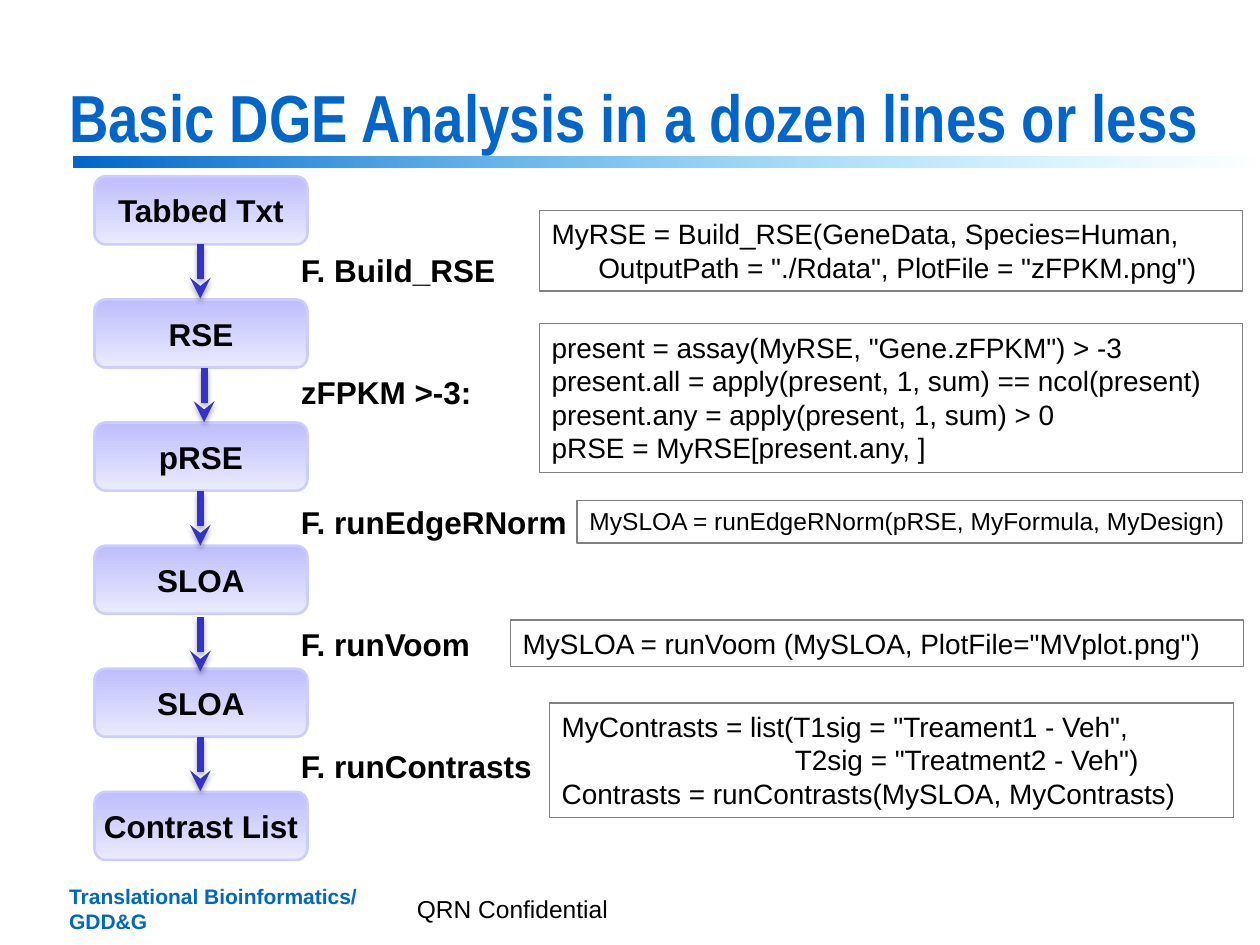
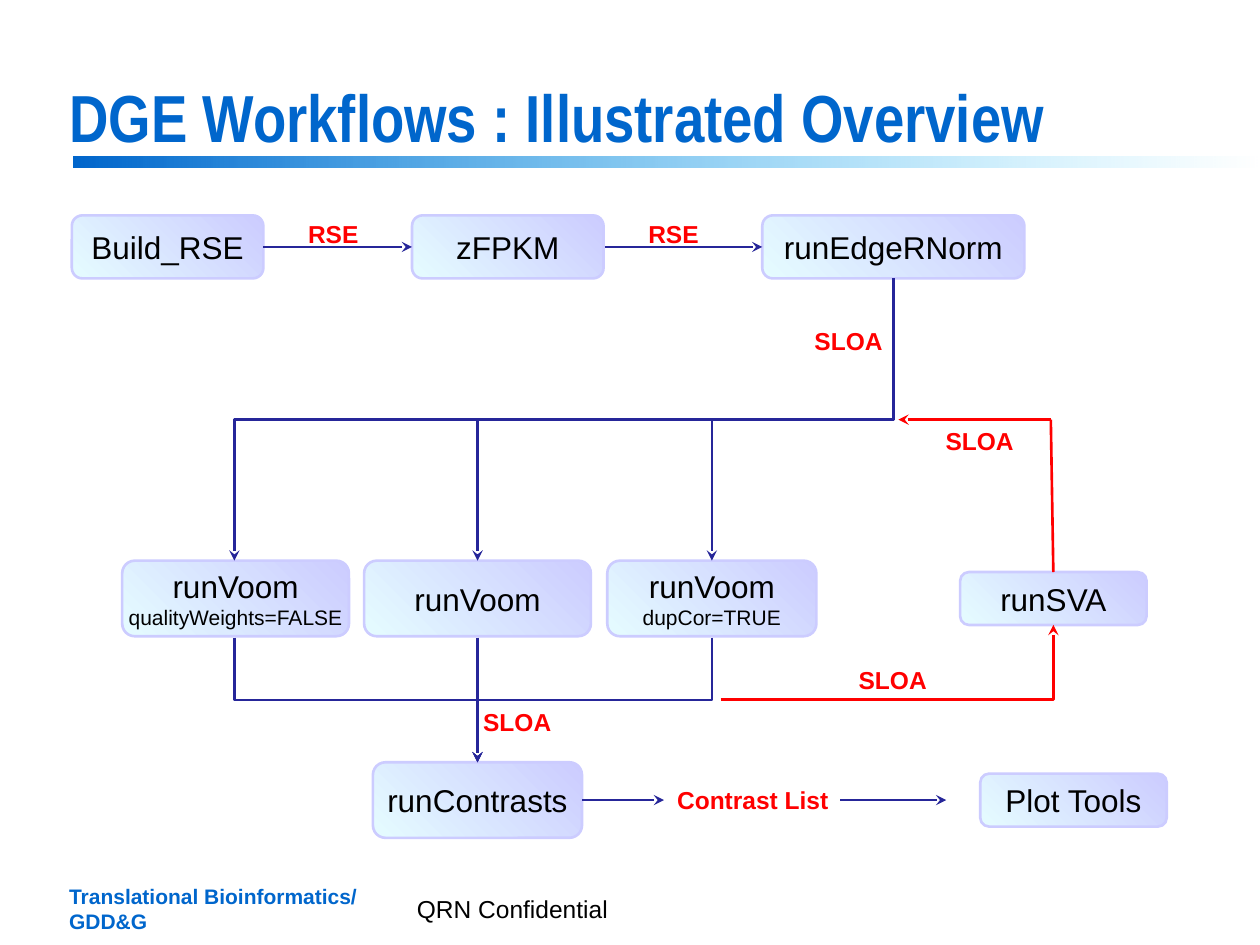
from dataclasses import dataclass

from lxml.etree import SubElement
from pptx import Presentation
from pptx.dml.color import RGBColor
from pptx.enum.shapes import MSO_CONNECTOR, MSO_SHAPE
from pptx.enum.text import MSO_ANCHOR, MSO_AUTO_SIZE, PP_ALIGN
from pptx.oxml.ns import qn
from pptx.util import Inches, Pt

COLUMNS, ROWS = 100, 75


@dataclass(frozen=True)
class TextStyle:
    """Font and alignment of one kind of text."""
    size: float
    color: str = "000000"
    bold: bool = False
    name: str = "Arial"
    align: PP_ALIGN = PP_ALIGN.LEFT
    anchor: MSO_ANCHOR = MSO_ANCHOR.TOP
    wrap: bool = True
    inset: bool = True
    spacing: float = 1.0


@dataclass(frozen=True)
class Theme:
    """Colours and type sizes of the deck."""
    accent: str = "0066CC"
    band: tuple = ("0066CC", "33CCFF")
    step: tuple = ("BEBEFD", "EAEAFE")
    node: tuple = ("E5FCFF", "CCCCFF")
    node_edge: str = "CCCCFF"
    code_edge: str = "808080"
    step_arrow: str = "3333CC"
    flow: str = "262699"
    feedback: str = "FF0000"
    title_text = TextStyle(38, accent, True, "Arial Narrow", anchor=MSO_ANCHOR.BOTTOM, spacing=0.85)
    team_text = TextStyle(12, accent, True, anchor=MSO_ANCHOR.MIDDLE, wrap=False)
    notice_text = TextStyle(14, anchor=MSO_ANCHOR.MIDDLE)
    step_text = TextStyle(18, bold=True, align=PP_ALIGN.CENTER, anchor=MSO_ANCHOR.MIDDLE,
                          wrap=False, inset=False)
    node_text = TextStyle(18, align=PP_ALIGN.CENTER, anchor=MSO_ANCHOR.MIDDLE,
                          wrap=False, inset=False)
    function_text = TextStyle(18, bold=True)
    data_text = TextStyle(14, feedback, True, align=PP_ALIGN.CENTER, wrap=False)
    argument_size: float = 12


class Deck:
    """Holds the theme and current slide and draws each kind of element on a grid."""

    def __init__(self, theme):
        """Start an empty presentation."""
        self.theme = theme
        self.presentation = Presentation()
        self.presentation.slide_width = Inches(10)
        self.presentation.slide_height = Inches(7.5)
        self.column = self.presentation.slide_width / COLUMNS
        self.row = self.presentation.slide_height / ROWS
        self.slide = None

    def place(self, *cells):
        """Turn alternating columns and rows into lengths."""
        return [round(cell * (self.row if i % 2 else self.column)) for i, cell in enumerate(cells)]

    def set_lines(self, shape, lines, style, sizes=(), indents=()):
        """Fill a shape with one paragraph per line."""
        frame = shape.text_frame
        frame.text = "\n".join(lines)
        sides, ends = (Inches(0.1), Inches(0.05)) if style.inset else (0, 0)
        layout = {"word_wrap": style.wrap, "vertical_anchor": style.anchor,
                  "auto_size": MSO_AUTO_SIZE.NONE,
                  "margin_left": sides, "margin_right": sides,
                  "margin_top": ends, "margin_bottom": ends}
        for attribute, value in layout.items():
            setattr(frame, attribute, value)
        for i, paragraph in enumerate(frame.paragraphs):
            paragraph.alignment = style.align
            paragraph.line_spacing = style.spacing
            size = sizes[i] if sizes else style.size
            for attribute, value in {"size": Pt(size), "bold": style.bold, "name": style.name}.items():
                setattr(paragraph.font, attribute, value)
            paragraph.font.color.rgb = RGBColor.from_string(style.color)
            if indents and indents[i]:
                properties = paragraph._p.get_or_add_pPr()
                properties.set("marL", str(Inches(indents[i])))
                properties.set("indent", "0")

    def new_slide(self, title):
        """Add a slide with its title, band and footers."""
        self.slide = self.presentation.slides.add_slide(self.presentation.slide_layouts[5])
        band = self.block(MSO_SHAPE.RECTANGLE, (5.8, 12.4, 94.2, 0.9), self.theme.band, 0)
        clear_end = band.element.spPr.findall(".//" + qn("a:srgbClr"))[-1]
        SubElement(clear_end, qn("a:alpha")).set("val", "0")
        heading = self.slide.shapes.title
        heading.left, heading.top, heading.width, heading.height = self.place(4.5, 6.5, 91.9, 6.4)
        self.set_lines(heading, [title], self.theme.title_text)
        self.text((4.5, 69.6, 25.1, 5), ["Translational Bioinformatics/", "GDD&G"], self.theme.team_text)
        self.text((32.1, 70.5, 35.8, 3.3), ["QRN Confidential"], self.theme.notice_text)

    def text(self, area, lines, style):
        """Add free text."""
        self.set_lines(self.slide.shapes.add_textbox(*self.place(*area)), lines, style)

    def block(self, preset, area, gradient, angle, edge=None):
        """Add a preset shape with a two-colour gradient and an optional edge."""
        shape = self.slide.shapes.add_shape(preset, *self.place(*area))
        shape.shadow.inherit = False
        shape.fill.gradient()
        shape.fill.gradient_angle = angle
        for stop, color in zip(shape.fill.gradient_stops, gradient):
            stop.color.rgb = RGBColor.from_string(color)
        if edge:
            shape.line.color.rgb = RGBColor.from_string(edge)
            shape.line.width = Pt(1.5)
        else:
            shape.line.fill.background()
        return shape

    def step(self, area, name):
        """Add a rounded box of the step column."""
        box = self.block(MSO_SHAPE.ROUNDED_RECTANGLE, area, self.theme.step, 270, self.theme.node_edge)
        self.set_lines(box, [name], self.theme.step_text)

    def node(self, area, name, argument=None):
        """Add a workflow box with an optional smaller argument line."""
        box = self.block(MSO_SHAPE.ROUNDED_RECTANGLE, area, self.theme.node, 45, self.theme.node_edge)
        lines = [name, argument] if argument else [name]
        self.set_lines(box, lines, self.theme.node_text,
                       (self.theme.node_text.size, self.theme.argument_size))

    def code(self, area, lines, size=16, indents=()):
        """Add an outlined box of code."""
        box = self.slide.shapes.add_shape(MSO_SHAPE.RECTANGLE, *self.place(*area))
        box.shadow.inherit = False
        box.fill.background()
        box.line.color.rgb = RGBColor.from_string(self.theme.code_edge)
        box.line.width = Pt(0.75)
        self.set_lines(box, lines, TextStyle(size), indents=indents)

    def connect(self, start, end, color, width=1.5, kind=MSO_CONNECTOR.STRAIGHT, head=True, shadow=False):
        """Add a connector, with an arrowhead at its end unless told otherwise."""
        connector = self.slide.shapes.add_connector(kind, *self.place(*start, *end))
        connector.line.color.rgb = RGBColor.from_string(color)
        connector.line.width = Pt(width)
        if head:
            outline = connector.element.spPr.find(qn("a:ln"))
            SubElement(outline, qn("a:tailEnd")).set("type", "stealth")
        effects = SubElement(connector.element.spPr, qn("a:effectLst"))
        if shadow:
            outer = SubElement(effects, qn("a:outerShdw"), blurRad=str(Pt(3.1)), dist=str(Pt(1.8)),
                               dir="5400000", rotWithShape="0")
            shade = SubElement(outer, qn("a:srgbClr"), val="000000")
            SubElement(shade, qn("a:alpha"), val="35000")
        return connector

    def drop(self, start, end, color):
        """Add an elbow that leaves and arrives vertically."""
        (x1, y1), (x2, y2) = start, end
        middle_x, middle_y = (x1 + x2) / 2, (y1 + y2) / 2
        across, down = abs(x2 - x1) / 2, (y2 - y1) / 2
        side, turn = (1, 270) if x2 > x1 else (-1, 90)
        elbow = self.connect((middle_x + side * down, middle_y - across),
                             (middle_x - side * down, middle_y + across),
                             color, kind=MSO_CONNECTOR.ELBOW)
        elbow.element.spPr.find(qn("a:xfrm")).set("rot", str(turn * 60000))

    def corner(self, start, end, color):
        """Add an elbow with a single bend."""
        elbow = self.connect(start, end, color, kind=MSO_CONNECTOR.ELBOW)
        elbow.element.spPr.find(qn("a:prstGeom")).set("prst", "bentConnector2")


def build_analysis(deck):
    """Draw the analysis steps with their code."""
    deck.new_slide("Basic DGE Analysis in a dozen lines or less")
    for i, name in enumerate(["Tabbed Txt", "RSE", "pRSE", "SLOA", "SLOA", "Contrast List"]):
        deck.step((7.5, 14 + 9.77 * i, 16.9, 5.4), name)
    functions = [
        ("F. Build_RSE", 19.4, 29.9, (15.9, 19.4)),
        ("zFPKM >-3:", 29.1, 15.9, (16.2, 29.2)),
        ("F. runEdgeRNorm", 39.4, 25.5, (15.9, 39)),
        ("F. runVoom", 49.1, 25.5, (15.9, 49)),
        ("F. runContrasts", 58.8, 33.6, (15.9, 58.5)),
    ]
    for name, top, width, (x, y) in functions:
        deck.connect((x, y), (x, y + 4.3), deck.theme.step_arrow, 4, shadow=True)
        deck.text((22.9, top, width, 4), [name], deck.theme.function_text)
    deck.code((42.8, 16.7, 55.8, 6.4),
              ["MyRSE = Build_RSE(GeneData, Species=Human,",
               'OutputPath = "./Rdata", PlotFile = "zFPKM.png")'], indents=(0, 0.37))
    deck.code((42.8, 25.7, 55.8, 11.8),
              ['present = assay(MyRSE, "Gene.zFPKM") > -3',
               "present.all = apply(present, 1, sum) == ncol(present)",
               "present.any = apply(present, 1, sum) > 0",
               "pRSE = MyRSE[present.any, ]"])
    deck.code((45.8, 39.7, 52.8, 3.4), ["MySLOA = runEdgeRNorm(pRSE, MyFormula, MyDesign)"], 14)
    deck.code((40.5, 49.2, 58.2, 3.7), ['MySLOA = runVoom (MySLOA, PlotFile="MVplot.png")'])
    deck.code((43.6, 55.8, 54.3, 9.1),
              ['MyContrasts = list(T1sig = "Treament1 - Veh",',
               'T2sig = "Treatment2 - Veh")',
               "Contrasts = runContrasts(MySLOA, MyContrasts)"], indents=(0, 1.85, 0))


def build_workflow(deck):
    """Draw the workflow overview."""
    deck.new_slide("DGE Workflows : Illustrated Overview")
    flow, feedback = deck.theme.flow, deck.theme.feedback
    nodes = [
        ((5.7, 17.1, 15.2, 5), "Build_RSE"),
        ((32.7, 17.1, 15.2, 5), "zFPKM"),
        ((60.5, 17.1, 20.8, 5), "runEdgeRNorm"),
        ((9.7, 44.5, 18, 6), "runVoom", "qualityWeights=FALSE"),
        ((28.9, 44.5, 18, 6), "runVoom"),
        ((48.2, 44.5, 16.6, 6), "runVoom", "dupCor=TRUE"),
        ((76.2, 45.4, 14.8, 4.2), "runSVA"),
        ((29.6, 60.5, 16.6, 6), "runContrasts"),
        ((77.8, 61.4, 14.8, 4.2), "Plot Tools"),
    ]
    for node in nodes:
        deck.node(*node)
    norm_exit, contrasts_entry = (70.9, 22.1), (37.9, 60.5)
    for voom_x in (18.6, 37.9, 56.5):
        deck.drop(norm_exit, (voom_x, 44.5), flow)
        if voom_x != contrasts_entry[0]:
            deck.drop((voom_x, 50.6), contrasts_entry, flow)
    straight_flows = [
        ((20.9, 19.6), (32.7, 19.6)),
        ((48, 19.6), (60.5, 19.6)),
        ((37.9, 50.6), contrasts_entry),
        ((46.2, 63.5), (52.7, 63.5)),
        ((66.7, 63.5), (75.1, 63.5)),
    ]
    for start, end in straight_flows:
        deck.connect(start, end, flow)
    deck.connect((83.4, 33.3), (71.3, 33.3), feedback)
    deck.connect((83.6, 45.4), (83.4, 33.3), feedback, head=False)
    deck.corner((57.2, 55.5), (83.6, 49.6), feedback)
    passed_data = [
        ("RSE", 23.4, 16.9, 6.1), ("RSE", 50.4, 16.9, 6.1),
        ("SLOA", 63.6, 25.4, 7.5), ("SLOA", 37.3, 55.6, 7.5),
        ("SLOA", 67.1, 52.3, 7.5), ("SLOA", 74, 33.3, 7.5),
        ("Contrast List", 52.7, 61.8, 14.1),
    ]
    for name, left, top, width in passed_data:
        deck.text((left, top, width, 3.4), [name], deck.theme.data_text)


def main():
    """Build and save the deck."""
    deck = Deck(Theme())
    build_analysis(deck)
    build_workflow(deck)
    deck.presentation.save("out.pptx")


if __name__ == "__main__":
    main()
